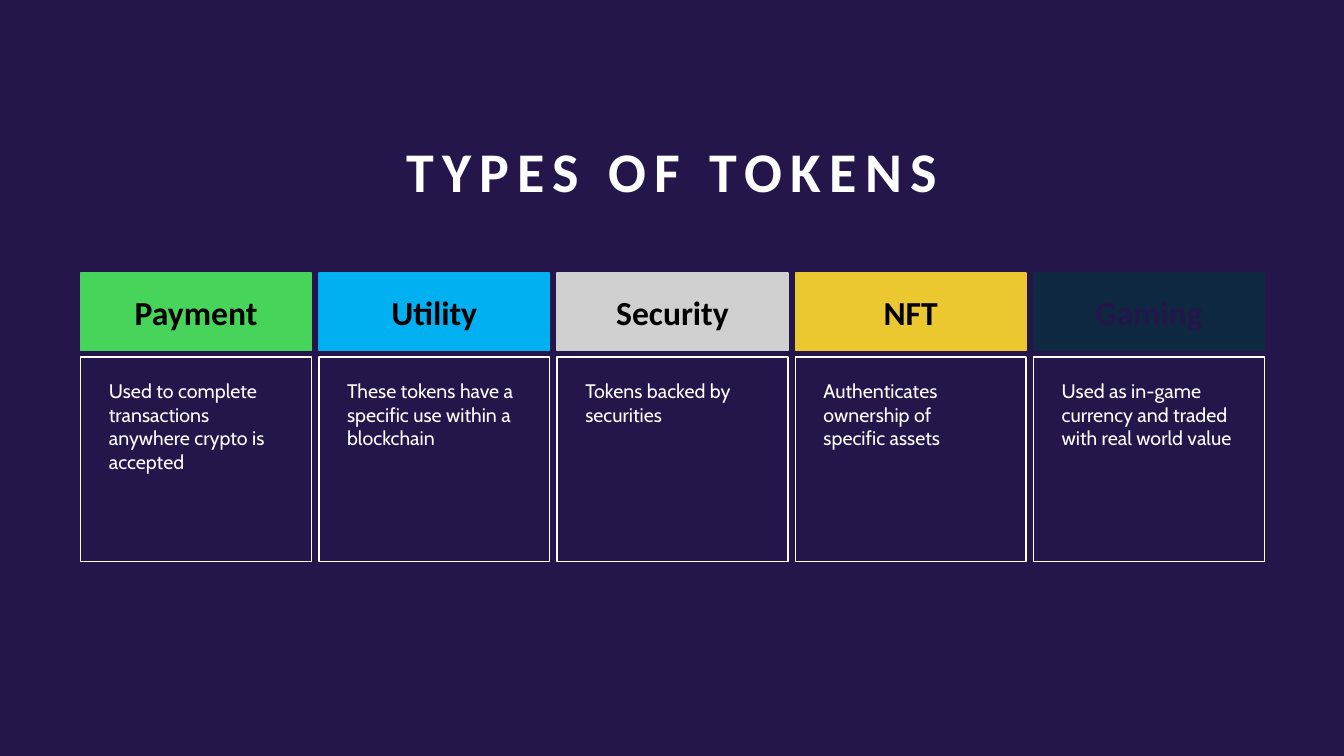
import pptx
import pptx.dml.color
import pptx.enum.shapes
import pptx.enum.text
import pptx.util

Inches = pptx.util.Inches
Pt = pptx.util.Pt
Align = pptx.enum.text.PP_ALIGN
Anchor = pptx.enum.text.MSO_ANCHOR

BACKGROUND = "24164B"
WHITE = "FFFFFF"
BLACK = "000000"

TOKENS = [
    ("Payment", "47D45A", BLACK, "Used to complete transactions anywhere crypto is accepted"),
    ("Utility", "00B0F0", BLACK, "These tokens have a specific use within a blockchain"),
    ("Security", "D0D0D0", BLACK, "Tokens backed by securities"),
    ("NFT", "ECC830", BLACK, "Authenticates ownership of specific assets"),
    ("Gaming", "0E2841", BACKGROUND, "Used as in-game currency and traded with real world value"),
]


def color(hex_string):
    return pptx.dml.color.RGBColor.from_string(hex_string)


def write(shape, text, font_name, size, font_color, bold, alignment, anchor):
    frame = shape.text_frame
    frame.word_wrap = True
    frame.auto_size = pptx.enum.text.MSO_AUTO_SIZE.NONE
    frame.vertical_anchor = anchor
    frame.text = text
    paragraph = frame.paragraphs[0]
    paragraph.alignment = alignment
    font = paragraph.runs[0].font
    font.name = font_name
    font.size = Pt(size)
    font.bold = bold
    font.color.rgb = color(font_color)
    return paragraph


def add_box(slide, left, top, width, height, line, fill=None):
    shape = slide.shapes.add_shape(
        pptx.enum.shapes.MSO_SHAPE.RECTANGLE,
        Inches(left), Inches(top), Inches(width), Inches(height))
    shape.shadow.inherit = False
    shape.line.color.rgb = color(line)
    shape.line.width = Pt(1)
    if fill:
        shape.fill.solid()
        shape.fill.fore_color.rgb = color(fill)
    else:
        shape.fill.background()
    return shape


def place_title(slide, left, top, width, height):
    title = slide.shapes.title
    title.left, title.top = Inches(left), Inches(top)
    title.width, title.height = Inches(width), Inches(height)
    paragraph = write(title, "TYPES OF TOKENS", "Calibri", 40, WHITE, True,
                      Align.CENTER, Anchor.BOTTOM)
    paragraph.line_spacing = 0.9
    paragraph.runs[0].font._element.set("spc", "600")


def add_token_card(slide, token, left, top, width, height):
    """Place a coloured heading above an outlined description."""
    name, fill, name_color, description = token
    heading_height, gap = 0.77, 0.06
    heading = add_box(slide, left, top, width, heading_height, fill, fill)
    write(heading, name, "Calibri", 24, name_color, True, Align.CENTER, Anchor.MIDDLE)

    body_offset = heading_height + gap
    body = add_box(slide, left, top + body_offset, width, height - body_offset, WHITE)
    write(body, description, "Cabin", 14, WHITE, False, Align.LEFT, Anchor.TOP)
    frame = body.text_frame
    frame.margin_left, frame.margin_top = Inches(0.28), Inches(0.22)
    frame.margin_right, frame.margin_bottom = Inches(0.3), Inches(0.05)


def add_token_cards(slide, left, top, width, height):
    card_width = 2.29
    step = (width - card_width) / (len(TOKENS) - 1)
    for index, token in enumerate(TOKENS):
        add_token_card(slide, token, left + index * step, top, card_width, height)


def main():
    presentation = pptx.Presentation()
    presentation.slide_width = Inches(13.33)
    presentation.slide_height = Inches(7.5)
    slide = presentation.slides.add_slide(presentation.slide_layouts.get_by_name("Title Only"))
    slide.background.fill.solid()
    slide.background.fill.fore_color.rgb = color(BACKGROUND)
    place_title(slide, 1.81, 0.91, 9.71, 1.17)
    add_token_cards(slide, 0.8, 2.71, 11.74, 2.86)
    presentation.save("out.pptx")


if __name__ == "__main__":
    main()
